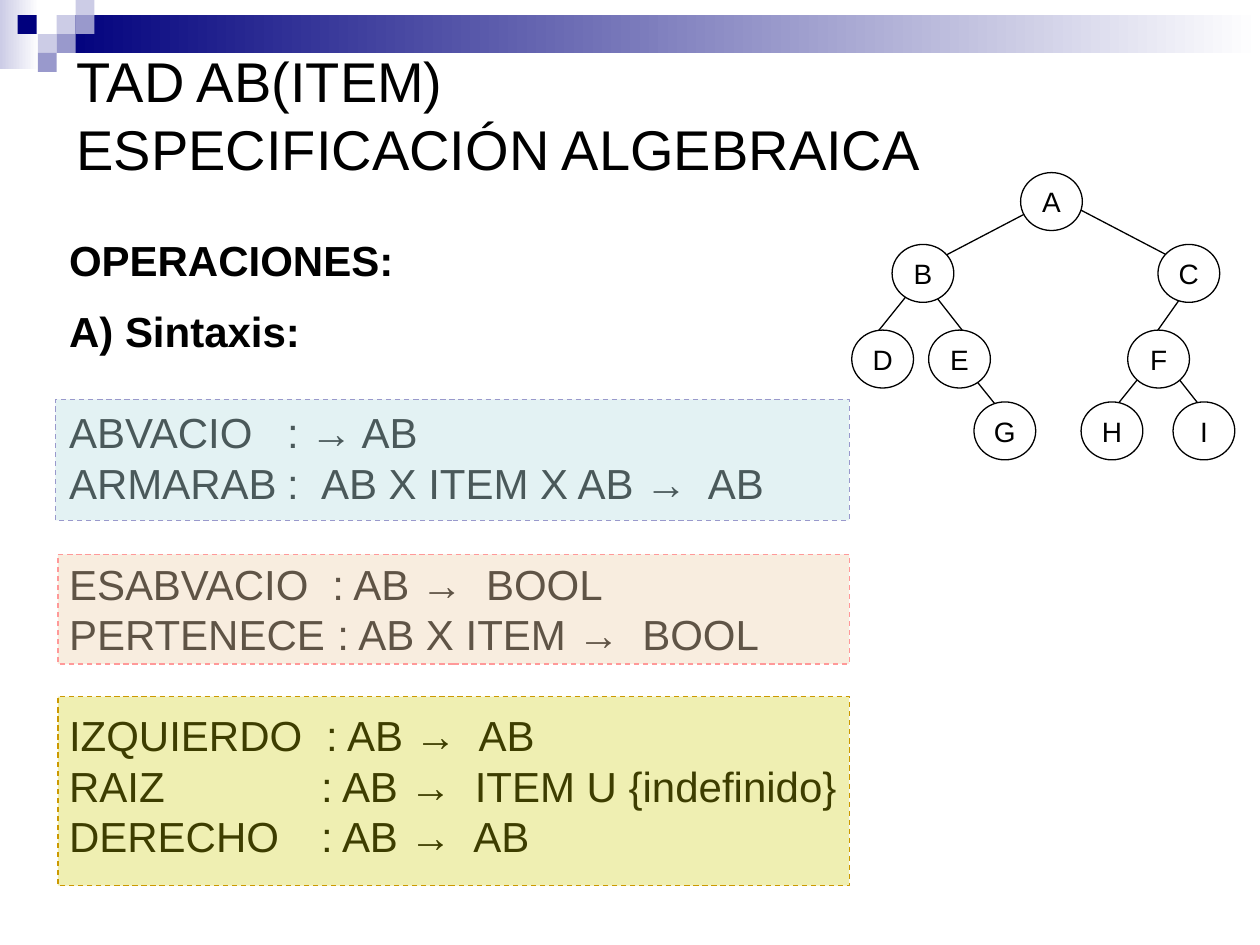
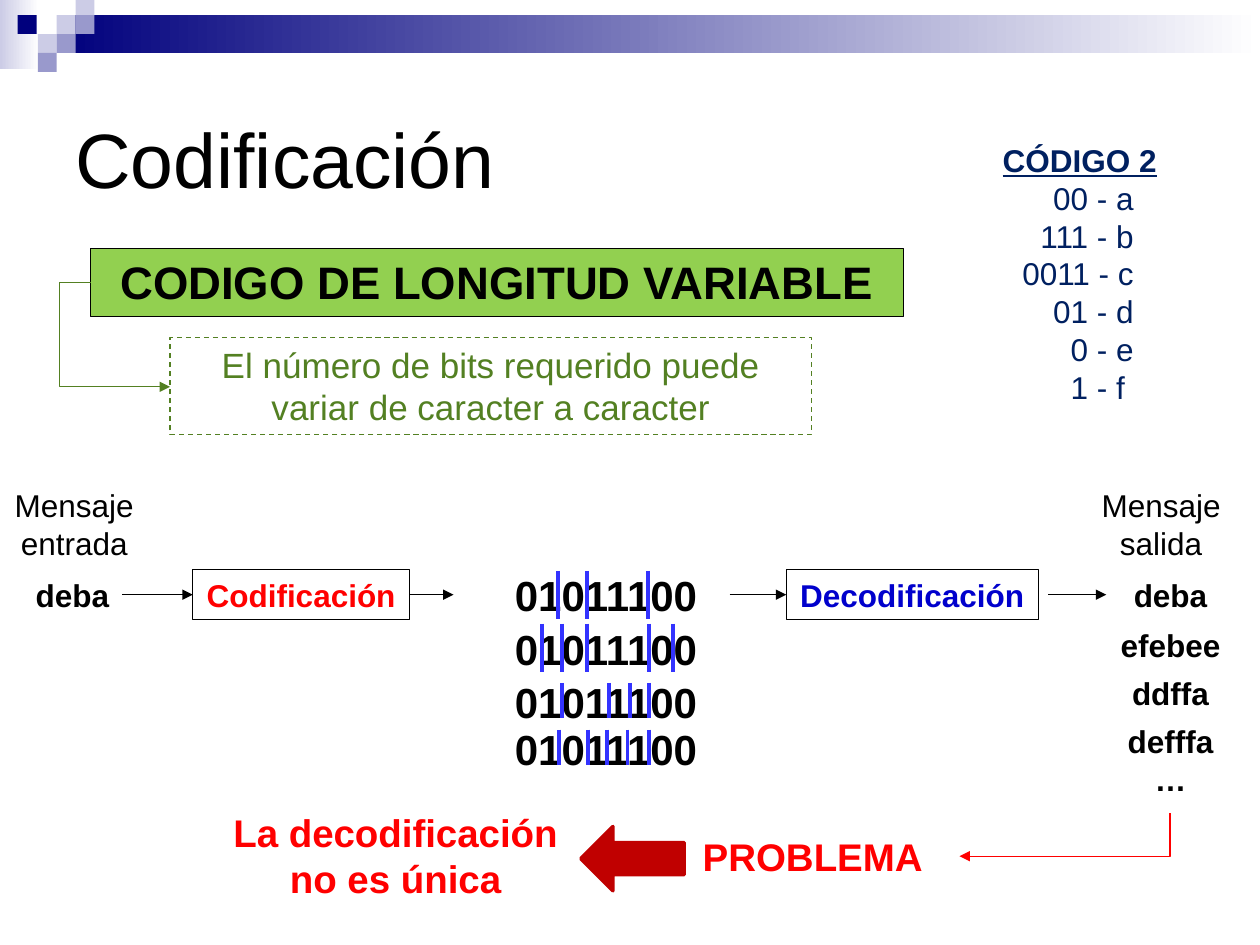
"""Builds two lecture slides: binary tree operations and variable-length coding."""
from dataclasses import dataclass

from lxml import etree
from pptx import Presentation
from pptx import util as u
from pptx.dml.color import RGBColor
from pptx.enum import dml, shapes, text
from pptx.oxml import ns

CENTER, LEFT = text.PP_ALIGN.CENTER, text.PP_ALIGN.LEFT
TOP, MIDDLE = text.MSO_ANCHOR.TOP, text.MSO_ANCHOR.MIDDLE
SHAPE, CONNECTOR = shapes.MSO_SHAPE, shapes.MSO_CONNECTOR


@dataclass(frozen=True)
class Theme:
    font: str = "Arial"
    black: str = "000000"
    white: str = "FFFFFF"
    navy: str = "00007D"
    lavender: str = "9999CC"
    pale: str = "CCCCE6"
    red: str = "FF0000"
    dark_red: str = "C00000"
    blue: str = "0000CC"
    bar_blue: str = "3333FF"
    code_blue: str = "002060"
    lime: str = "92D050"
    green: str = "538022"
    title: int = 44
    long_title: int = 32
    banner: int = 26
    body: int = 24
    warning: int = 22
    note: int = 20
    label: int = 18
    node: int = 16
    leading: float = 1.2
    thin: float = 0.75


def child(parent, tag, **attributes):
    return etree.SubElement(parent, ns.qn(tag), attributes)


class SlideBuilder:
    def __init__(self, presentation, theme):
        self.presentation = presentation
        self.theme = theme
        self.slide = None

    def new_slide(self):
        self.slide = self.presentation.slides.add_slide(self.presentation.slide_layouts[6])
        self.header_band()

    def header_band(self):
        theme, side = self.theme, 0.15
        for box, start in (((0, -0.03, 0.31, 0.58), theme.pale), ((0.45, 0.12, 9.55, 0.3), theme.navy)):
            fill = self.shape(SHAPE.RECTANGLE, box).fill
            fill.gradient()
            fill.gradient_angle = 0
            for stop, color, position in zip(fill.gradient_stops, (start, theme.white), (0, 1)):
                stop.color.rgb = RGBColor.from_string(color)
                stop.position = position
        squares = (
            (0.45, 0.12, theme.pale), (0.6, -0.03, theme.pale), (0.6, 0.12, theme.lavender),
            (0.3, 0.27, theme.pale), (0.14, 0.12, theme.navy), (0.45, 0.27, theme.lavender),
            (0.3, 0.42, theme.lavender),
        )
        for left, top, color in squares:
            self.shape(SHAPE.RECTANGLE, (left, top, side, side), color)

    def shape(self, kind, box, fill=None, line=None, width=None, dashed=False, opacity=None):
        shape = self.slide.shapes.add_shape(kind, *map(u.Inches, box))
        shape.shadow.inherit = False
        if fill:
            shape.fill.solid()
            shape.fill.fore_color.rgb = RGBColor.from_string(fill)
        else:
            shape.fill.background()
        if opacity:
            color = shape.element.spPr.find(ns.qn("a:solidFill"))[0]
            child(color, "a:alpha", val=str(opacity * 1000))
        if line:
            self.stroke(shape.line, line, width, dashed)
        else:
            shape.line.fill.background()
        return shape

    def stroke(self, line, color, width=None, dashed=False):
        line.color.rgb = RGBColor.from_string(color)
        line.width = u.Pt(width or self.theme.thin)
        if dashed:
            line.dash_style = dml.MSO_LINE.DASH

    def fill_text(self, shape, lines, size, color=None, align=CENTER, anchor=TOP, wrap=False,
                  margin=None, gaps=None, stops=None, tab_align="l", **font_format):
        frame = shape.text_frame
        frame.word_wrap = wrap
        frame.vertical_anchor = anchor
        if margin is not None:
            for side in ("left", "top", "right", "bottom"):
                setattr(frame, f"margin_{side}", u.Inches(margin))
        frame.text = "\n".join(lines)
        font = {"name": self.theme.font, "size": u.Pt(size), **font_format}
        for index, paragraph in enumerate(frame.paragraphs):
            paragraph_format = {
                "alignment": align,
                "line_spacing": u.Pt(size * self.theme.leading),
                "space_before": u.Pt(gaps[index] if gaps else 0),
            }
            for name, value in paragraph_format.items():
                setattr(paragraph, name, value)
            if stops and stops[index]:
                tabs = child(paragraph._p.get_or_add_pPr(), "a:tabLst")
                for stop in stops[index]:
                    child(tabs, "a:tab", pos=str(u.Inches(stop)), algn=tab_align)
            for run in paragraph.runs:
                for name, value in font.items():
                    setattr(run.font, name, value)
                run.font.color.rgb = RGBColor.from_string(color or self.theme.black)
        return shape

    def text(self, box, lines, size, **options):
        return self.fill_text(self.slide.shapes.add_textbox(*map(u.Inches, box)), lines, size, **options)

    def title(self, box, lines, size):
        self.text(box, lines, size, align=LEFT, anchor=MIDDLE, wrap=True)

    def connector(self, begin, end, color=None, width=None, arrow=False, kind=CONNECTOR.STRAIGHT):
        connector = self.slide.shapes.add_connector(kind, *map(u.Inches, (*begin, *end)))
        self.stroke(connector.line, color or self.theme.black, width)
        if arrow:
            child(connector.line._get_or_add_ln(), "a:tailEnd", type="triangle")
        child(connector._element.spPr, "a:effectLst")
        return connector


def build_tree(builder):
    edges = (
        ((9.43, 2.28), (9.19, 2.62)), ((7.25, 2.28), (6.88, 2.74)),
        ((9.07, 2.96), (8.7, 3.42)), ((7.37, 2.28), (7.73, 2.74)),
        ((9.31, 2.95), (9.68, 3.42)), ((8.34, 1.59), (7.25, 2.16)),
        ((7.61, 2.85), (7.98, 3.31)), ((8.22, 1.48), (9.31, 2.05)),
    )
    levels = (
        (1.37, {"A": 8.1}),
        (1.94, {"B": 7.08, "C": 9.19}),
        (2.62, {"D": 6.76, "E": 7.37, "F": 8.95}),
        (3.19, {"G": 7.73, "H": 8.58, "I": 9.31}),
    )
    theme = builder.theme
    for begin, end in edges:
        builder.connector(begin, end)
    for top, nodes in levels:
        for letter, left in nodes.items():
            node = builder.shape(SHAPE.OVAL, (left, top, 0.49, 0.46), theme.white, theme.black)
            builder.fill_text(node, [letter], theme.node, anchor=MIDDLE, margin=0)


def build_operations(builder):
    theme = builder.theme
    builder.new_slide()
    operations = (
        ("OPERACIONES:", 0, ()),
        ("A) Sintaxis:", 12, ()),
        ("ABVACIO\t: → AB", 29, (1.73,)),
        ("ARMARAB\t:\tAB X ITEM X AB →\tAB", 0, (1.73, 2, 5.07)),
        ("ESABVACIO\t: AB →\tBOOL", 29, (2.09, 3.31)),
        ("PERTENECE\t: AB X ITEM →\tBOOL", 0, (2.13, 4.55)),
        ("IZQUIERDO\t: AB →\tAB", 29, (2.04, 3.25)),
        ("RAIZ\t: AB →\tITEM U {indefinido}", 0, (2, 3.22)),
        ("DERECHO\t: AB →\tAB", 0, (2, 3.21)),
    )
    lines, gaps, stops = zip(*operations)
    body = builder.text((0.45, 1.81, 9, 4.95), lines, theme.body, align=LEFT, wrap=True,
                        gaps=gaps, stops=stops)
    for paragraph in body.text_frame.paragraphs[:2]:
        paragraph.runs[0].font.bold = True
    panels = (
        ((0.46, 5.53, 6.28, 1.5), "CCCC00", "CC9900", 30),
        ((0.46, 4.4, 6.28, 0.87), "EFD2AF", "FF9999", 40),
        ((0.44, 3.17, 6.3, 0.96), "BBE0E3", theme.lavender, 40),
    )
    for box, fill, line, opacity in panels:
        builder.shape(SHAPE.RECTANGLE, box, fill, line, dashed=True, opacity=opacity)
    builder.title((0.51, 0.28, 9, 1.25), ["TAD AB(ITEM)", "ESPECIFICACIÓN ALGEBRAICA"], theme.long_title)
    build_tree(builder)


def build_bit_splits(builder):
    splits = (
        (4.47, 4.53, 0.38, (4.43, 4.66, 5.14)),
        (4.9, 4.95, 0.38, (4.3, 4.46, 4.66, 5.15, 5.34)),
        (5.32, 5.42, 0.28, (4.46, 4.83, 5, 5.15)),
        (5.69, 5.79, 0.28, (4.44, 4.67, 4.82, 4.98, 5.15)),
    )
    theme = builder.theme
    for text_top, bar_top, height, cuts in splits:
        builder.text((3.98, text_top, 1.66, 0.5), ["01011100"], theme.body, bold=True)
        for cut in cuts:
            builder.connector((cut, bar_top), (cut, bar_top + height), theme.bar_blue, 2.25)


def build_coding_flow(builder):
    theme, middle = builder.theme, 4.72
    builder.text((0.01, 3.81, 1.16, 0.71), ["Mensaje", "entrada"], theme.label)
    builder.text((8.64, 3.81, 1.15, 0.71), ["Mensaje", "salida"], theme.label)
    message = builder.text((0.18, 4.52, 0.79, 0.4), ["deba"], theme.label, bold=True)
    builder.text((8.79, 4.52, 1, 1.88), ["deba", "efebee", "ddffa", "defffa", "…"], theme.label,
                 gaps=(0, 7, 6, 6, 0), bold=True)
    stages = []
    for box, name, color in (((1.53, 4.52, 1.72, 0.4), "Codificación", theme.red),
                             ((6.24, 4.52, 2, 0.4), "Decodificación", theme.blue)):
        stage = builder.shape(SHAPE.RECTANGLE, box, line=theme.black)
        stages.append(builder.fill_text(stage, [name], theme.label, color=color, bold=True))
    encoder, decoder = stages
    arrows = (
        (0.97, 1.53, message, encoder), (3.25, 3.6, encoder, None),
        (5.79, 6.24, None, decoder), (8.32, 8.78, None, None),
    )
    for start, end, source, target in arrows:
        arrow = builder.connector((start, middle), (end, middle), arrow=True)
        if source:
            arrow.begin_connect(source, 3)
        if target:
            arrow.end_connect(target, 1)


def build_definition(builder):
    theme = builder.theme
    banner = builder.shape(SHAPE.RECTANGLE, (0.72, 1.97, 6.45, 0.54), theme.lime, theme.black)
    builder.fill_text(banner, ["CODIGO DE LONGITUD VARIABLE"], theme.banner, wrap=True, bold=True)
    note = builder.shape(SHAPE.RECTANGLE, (1.35, 2.68, 5.09, 0.77), line=theme.green, dashed=True)
    builder.fill_text(note, ["El número de bits requerido puede variar de caracter a caracter"],
                      theme.note, color=theme.green, wrap=True)
    elbow = builder.connector((0.72, 2.24), (1.35, 3.07), theme.green, arrow=True, kind=CONNECTOR.ELBOW)
    adjustments = elbow._element.spPr.find(ns.qn("a:prstGeom")).find(ns.qn("a:avLst"))
    child(adjustments, "a:gd", name="adj1", fmla="val -39300")
    codes = ["CÓDIGO 2", "\t00 - a", "\t111 - b", "\t0011 - c", "\t01 - d", "\t0 - e", "\t1 - f"]
    stops = [()] + [(1.04,)] * 5 + [(0.97,)]
    table = builder.text((7.86, 1.07, 1.44, 2.22), codes, theme.label, color=theme.code_blue,
                         align=LEFT, stops=stops, tab_align="r")
    heading = table.text_frame.paragraphs[0].runs[0].font
    for name in ("bold", "underline"):
        setattr(heading, name, True)


def build_problem(builder):
    theme = builder.theme
    for box, line in (((5.28, 6.56, 2.34, 0.47), "PROBLEMA"),
                      ((1.67, 6.37, 2.94, 0.84), "La decodificación no es única")):
        builder.text(box, [line], theme.warning, color=theme.red, wrap=True, bold=True)
    corner = builder.connector((8.28, 5.79), (8.62, 7.46), theme.red, arrow=True, kind=CONNECTOR.ELBOW)
    properties = corner._element.spPr
    properties.find(ns.qn("a:xfrm")).set("rot", "5400000")
    properties.find(ns.qn("a:prstGeom")).set("prst", "bentConnector2")
    builder.shape(SHAPE.LEFT_ARROW, (4.61, 6.56, 0.82, 0.51), theme.dark_red, theme.dark_red, 2)


def build_coding(builder):
    builder.new_slide()
    builder.title((0.5, 0.5, 9, 1.5), ["Codificación"], builder.theme.title)
    build_definition(builder)
    build_coding_flow(builder)
    build_bit_splits(builder)
    build_problem(builder)


def main():
    presentation = Presentation()
    presentation.slide_width, presentation.slide_height = u.Inches(10), u.Inches(7.5)
    builder = SlideBuilder(presentation, Theme())
    build_operations(builder)
    build_coding(builder)
    presentation.save("out.pptx")


if __name__ == "__main__":
    main()
